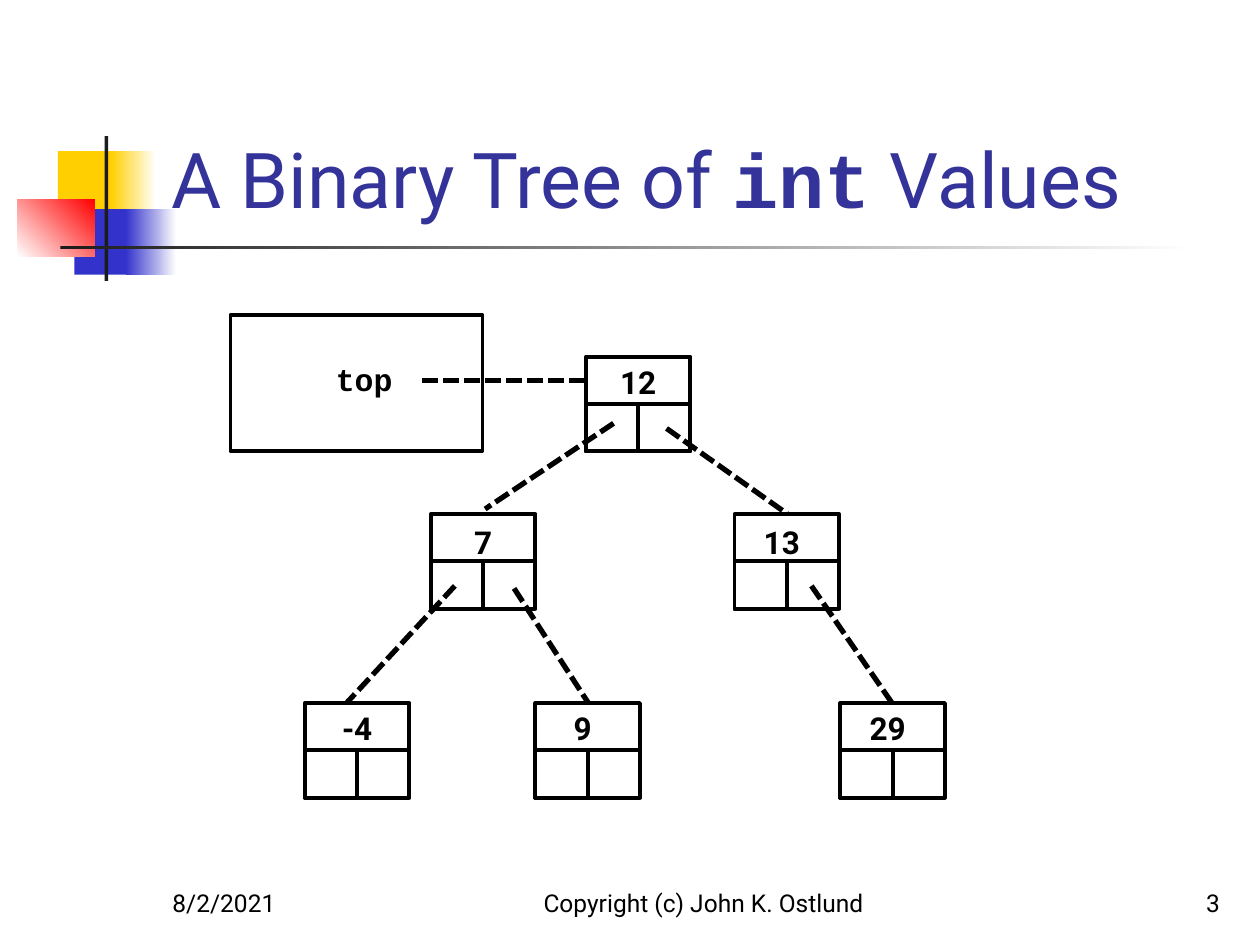
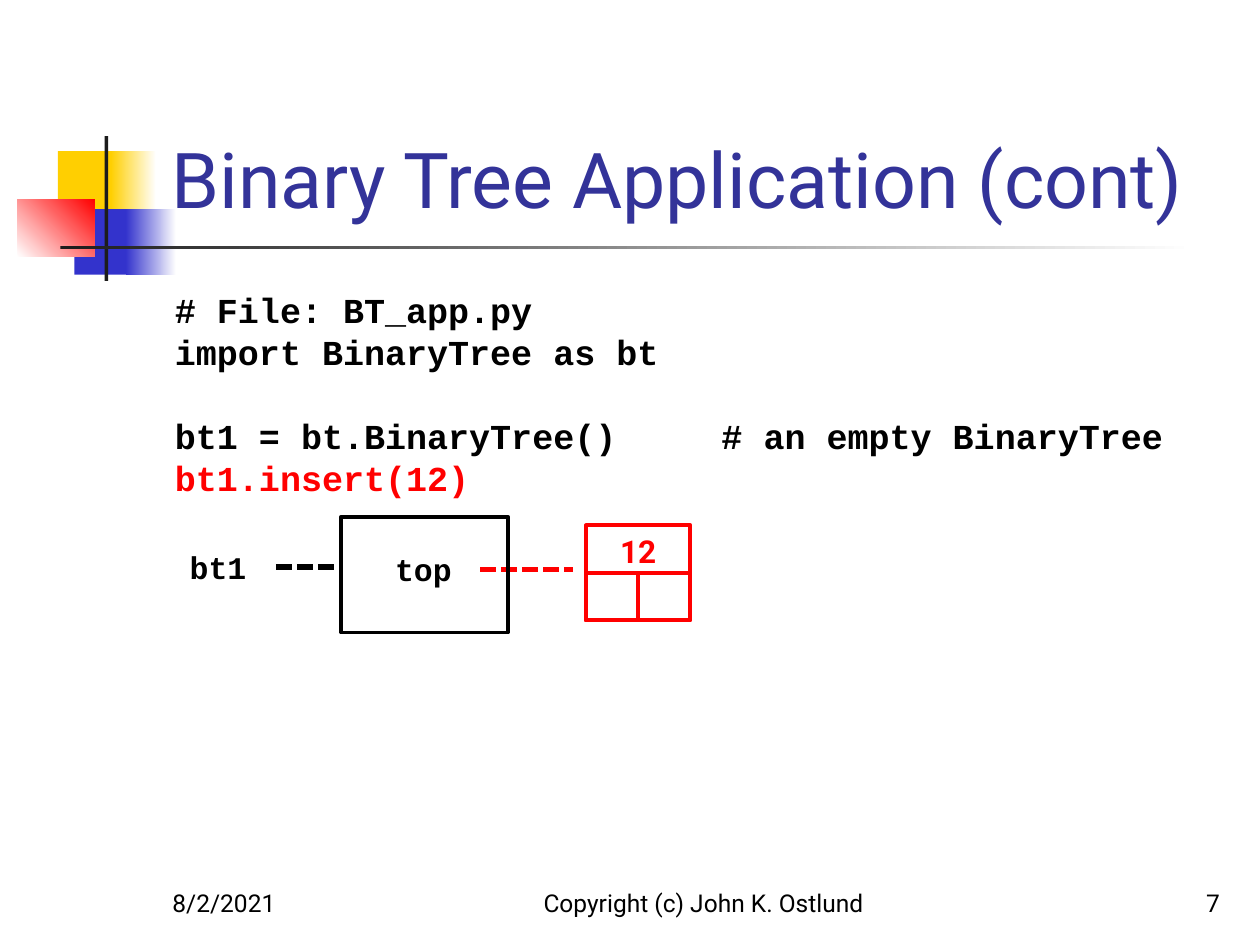
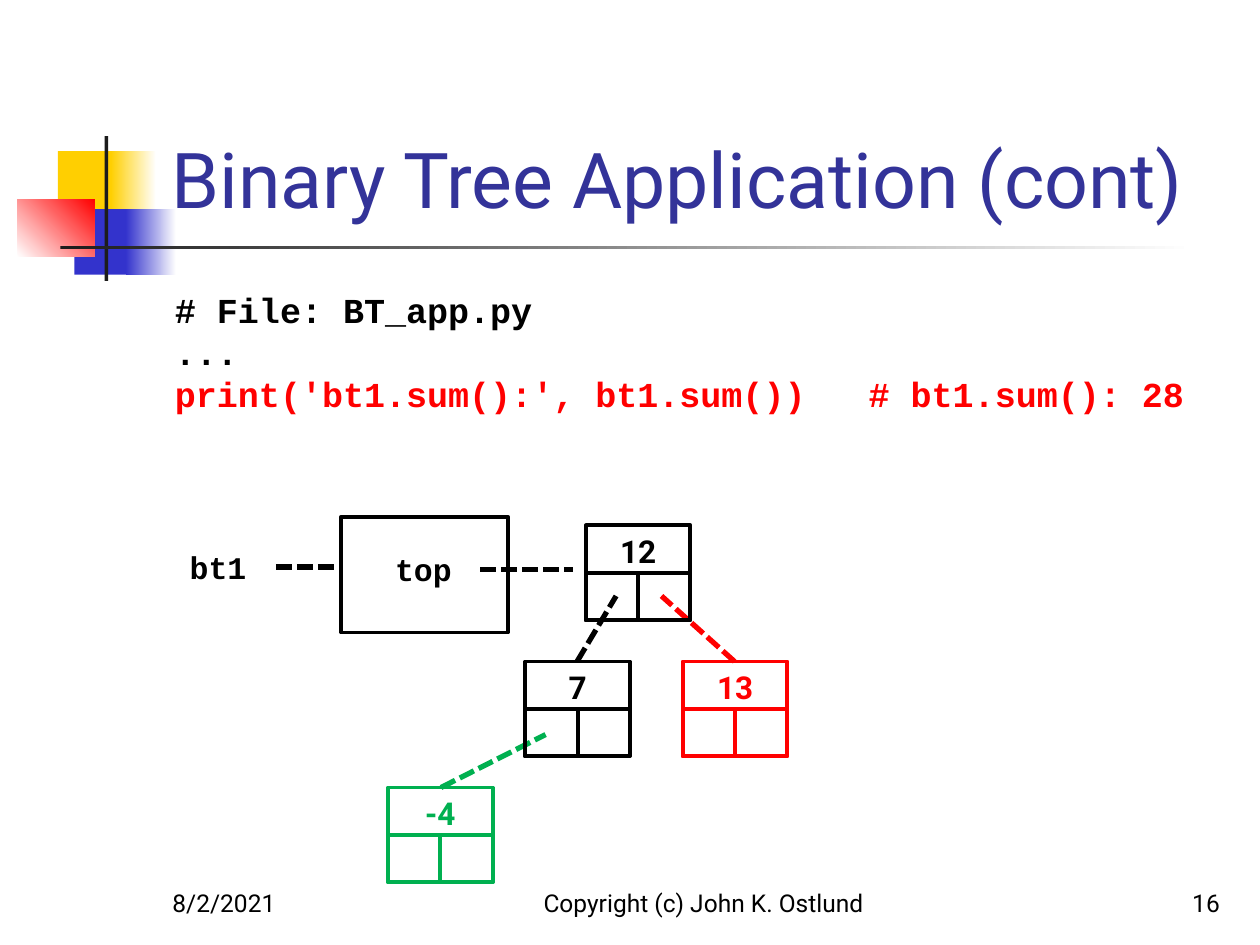
"""Build three slides that explain a binary tree of int values."""
from typing import NamedTuple

from lxml import etree
from pptx import Presentation
from pptx.dml.color import RGBColor
from pptx.enum.dml import MSO_LINE
from pptx.enum.shapes import MSO_CONNECTOR, MSO_SHAPE
from pptx.enum.text import MSO_ANCHOR, MSO_AUTO_SIZE, PP_ALIGN
from pptx.oxml.ns import qn
from pptx.util import Inches, Pt

RECTANGLE = MSO_SHAPE.RECTANGLE
STRAIGHT = MSO_CONNECTOR.STRAIGHT
DASH = MSO_LINE.SQUARE_DOT
LEFT, CENTER, RIGHT = PP_ALIGN.LEFT, PP_ALIGN.CENTER, PP_ALIGN.RIGHT
TOP, BOTTOM = MSO_ANCHOR.TOP, MSO_ANCHOR.BOTTOM
FIXED, GROW = MSO_AUTO_SIZE.NONE, MSO_AUTO_SIZE.SHAPE_TO_FIT_TEXT

COLORS = {
    "black": "000000",
    "white": "FFFFFF",
    "red": "FF0000",
    "green": "00B050",
    "title": "333399",
    "yellow": "FFCF01",
    "blue": "3333CC",
    "rule": "1C1C1C",
}
SANS, MONO = "Roboto", "Courier New"
NODE_WIDTH, NODE_HEIGHT = 0.83, 0.75
CODE_PITCH = Pt(24)


class Area(NamedTuple):
    """A rectangle in inches."""
    left: float
    top: float
    width: float
    height: float


class Span(NamedTuple):
    """A stretch of text in one format."""
    text: str
    size: int
    font: str = SANS
    color: str = "black"
    bold: bool = False


class Band(NamedTuple):
    """A decorative rectangle, shaded when it has an end colour."""
    area: Area
    color: str
    end: str = ""
    angle: int = 0


class Node(NamedTuple):
    """A tree node with a value above two links."""
    value: str
    left: float
    top: float
    color: str = "black"
    label_dx: float = 0.04
    label_dy: float = 0


class Link(NamedTuple):
    """A dashed line between two points."""
    x1: float
    y1: float
    x2: float
    y2: float
    color: str = "black"


class CodeLine(NamedTuple):
    """A line of code and the number of empty lines above it."""
    text: str
    color: str = "black"
    gap: int = 0


class Page(NamedTuple):
    """The content of one slide."""
    number: int
    title: list[Span]
    code: list[CodeLine]
    tree: Area
    names: list[tuple[str, float, float]]
    nodes: list[Node]
    links: list[Link]


BANDS = [
    Band(Area(0.46, 1.2, 0.48, 0.52), "yellow"),
    Band(Area(0.88, 1.2, 0.36, 0.52), "yellow", "white"),
    Band(Area(0.59, 1.66, 0.46, 0.52), "blue"),
    Band(Area(1, 1.66, 0.4, 0.52), "blue", "white"),
    Band(Area(0.14, 1.58, 0.61, 0.46), "white", "red", 45),
    Band(Area(0.83, 1.08, 0.03, 1.15), "rule"),
    Band(Area(0.48, 1.95, 9, 0.03), "rule", "white"),
]
TITLE_AREA = Area(1.26, 0.23, 8.52, 1.6)
CODE_AREA = Area(1.29, 2.21, 8.5, 4.5)
DATE_AREA = Area(1.27, 6.83, 2.08, 0.5)
COPYRIGHT_AREA = Area(4, 6.83, 3.17, 0.5)
NUMBER_AREA = Area(7.7, 6.83, 2.08, 0.5)
APP_TITLE = [Span("Binary Tree Application (cont)", 44, color="title")]
APP_TREE = Area(2.71, 4.1, 1.32, 0.92)
APP_NAMES = [("top", 2.9, 4.32), ("bt1", 1.27, 4.3)]
APP_LINK = Link(2.19, 4.5, 2.67, 4.5)
TOP_LINK = Link(3.81, 4.52, 4.55, 4.52)
TOP_NODE = Node("12", 4.65, 4.17)

PAGES = [
    Page(
        3,
        [
            Span("A Binary Tree of ", 44, color="title"),
            Span("int", 44, MONO, "title", True),
            Span(" Values", 44, color="title"),
        ],
        [],
        Area(1.83, 2.5, 2, 1.08),
        [("top", 2.43, 2.81)],
        [
            Node("12", 4.65, 2.83),
            Node("7", 3.42, 4.08, label_dy=0.02),
            Node("13", 5.83, 4.08, label_dx=0, label_dy=0.02),
            Node("-4", 2.42, 5.58),
            Node("9", 4.25, 5.58, label_dx=0),
            Node("29", 6.67, 5.58, label_dx=0),
        ],
        [
            Link(3.35, 3.02, 4.67, 3.02),
            Link(4.87, 3.36, 3.85, 4.04),
            Link(5.29, 3.4, 6.25, 4.08),
            Link(4.08, 4.67, 4.67, 5.58),
            Link(6.44, 4.65, 7.08, 5.58),
            Link(3.61, 4.65, 2.75, 5.58),
        ],
    ),
    Page(
        7,
        APP_TITLE,
        [
            CodeLine("# File: BT_app.py"),
            CodeLine("import BinaryTree as bt"),
            CodeLine("bt1 = bt.BinaryTree()     # an empty BinaryTree", gap=1),
            CodeLine("bt1.insert(12)", "red"),
        ],
        APP_TREE,
        APP_NAMES,
        [TOP_NODE._replace(color="red")],
        [TOP_LINK._replace(color="red"), APP_LINK],
    ),
    Page(
        16,
        APP_TITLE,
        [
            CodeLine("# File: BT_app.py"),
            CodeLine("..."),
            CodeLine("print('bt1.sum():', bt1.sum())   # bt1.sum(): 28", "red"),
        ],
        APP_TREE,
        APP_NAMES,
        [
            TOP_NODE,
            Node("7", 4.17, 5.25),
            Node("13", 5.42, 5.25, "red"),
            Node("-4", 3.08, 6.25, "green"),
        ],
        [
            TOP_LINK,
            APP_LINK,
            Link(4.58, 5.25, 4.89, 4.73),
            Link(5.83, 5.25, 5.25, 4.73, "red"),
            Link(3.5, 6.25, 4.33, 5.83, "green"),
        ],
    ),
]


def rgb(name: str) -> RGBColor:
    """Return the named colour."""
    return RGBColor.from_string(COLORS[name])


def inches(area: Area) -> list[Inches]:
    """Return the four lengths of an area."""
    return [Inches(length) for length in area]


def add_span(para, span: Span) -> None:
    """Append a formatted run to a paragraph."""
    run = para.add_run()
    run.text = span.text
    run.font.size = Pt(span.size)
    run.font.name = span.font
    run.font.bold = span.bold
    run.font.color.rgb = rgb(span.color)


def add_text(slide, area: Area, span: Span, align=CENTER, anchor=TOP, fit=GROW) -> None:
    """Add a text box that holds one span."""
    frame = slide.shapes.add_textbox(*inches(area)).text_frame
    frame.word_wrap = True
    frame.auto_size = fit
    frame.vertical_anchor = anchor
    para = frame.paragraphs[0]
    para.alignment = align
    add_span(para, span)


def add_outline(shapes, area: Area, color: str) -> None:
    """Add an unfilled rectangle."""
    box = shapes.add_shape(RECTANGLE, *inches(area))
    box.shadow.inherit = False
    box.fill.background()
    box.line.color.rgb = rgb(color)
    box.line.width = Pt(2.25)


def add_band(slide, band: Band):
    """Add a decorative rectangle and return it."""
    box = slide.shapes.add_shape(RECTANGLE, *inches(band.area))
    box.shadow.inherit = False
    box.line.fill.background()
    if band.end:
        box.fill.gradient()
        box.fill.gradient_angle = band.angle
        for stop, color in zip(box.fill.gradient_stops, (band.color, band.end)):
            stop.color.rgb = rgb(color)
    else:
        box.fill.solid()
        box.fill.fore_color.rgb = rgb(band.color)
    return box


def decorate_layout(layout, slide) -> None:
    """Draw the bands on a slide and move them to its layout."""
    for index, band in enumerate(BANDS):
        element = add_band(slide, band).element
        element.nvSpPr.cNvPr.id = 20 + index
        layout.shapes.element.insert(2 + index, element)


def add_node(slide, node: Node) -> None:
    """Add a tree node as a group with its value on top."""
    group = slide.shapes.add_group_shape()
    half = NODE_HEIGHT / 2
    middle = node.top + half
    for area in (
        Area(node.left, node.top, NODE_WIDTH, NODE_HEIGHT),
        Area(node.left, middle, NODE_WIDTH, half),
        Area(node.left, middle, NODE_WIDTH / 2, half),
    ):
        add_outline(group.shapes, area, node.color)
    label = Area(node.left + node.label_dx, node.top + node.label_dy, 0.75, 0.4)
    add_text(slide, label, Span(node.value, 18, color=node.color, bold=True))


def add_link(slide, link: Link) -> None:
    """Add a dashed line."""
    ends = [Inches(length) for length in link[:4]]
    connector = slide.shapes.add_connector(STRAIGHT, *ends)
    connector.line.color.rgb = rgb(link.color)
    connector.line.width = Pt(3)
    connector.line.dash_style = DASH
    etree.SubElement(connector.element.spPr, qn("a:effectLst"))


def add_code(slide, lines: list[CodeLine]) -> None:
    """Add the code listing, one paragraph a line."""
    frame = slide.shapes.add_textbox(*inches(CODE_AREA)).text_frame
    frame.word_wrap = True
    frame.margin_top = Inches(0.08)
    for index, line in enumerate(lines):
        para = frame.add_paragraph() if index else frame.paragraphs[0]
        para.line_spacing = CODE_PITCH
        if line.gap:
            para.space_before = CODE_PITCH * line.gap
        add_span(para, Span(line.text, 20, MONO, line.color, True))


def set_title(slide, spans: list[Span]) -> None:
    """Place the title placeholder and fill it."""
    title = slide.shapes.title
    title.left, title.top, title.width, title.height = inches(TITLE_AREA)
    frame = title.text_frame
    frame.auto_size = FIXED
    frame.vertical_anchor = BOTTOM
    frame.paragraphs[0].alignment = LEFT
    for span in spans:
        add_span(frame.paragraphs[0], span)


def add_footer(slide, number: int) -> None:
    """Add the date, the copyright line and the slide number."""
    for area, text, align in (
        (DATE_AREA, "8/2/2021", LEFT),
        (COPYRIGHT_AREA, "Copyright (c) John K. Ostlund", CENTER),
        (NUMBER_AREA, str(number), RIGHT),
    ):
        add_text(slide, area, Span(text, 14), align, BOTTOM, FIXED)


def fill_slide(slide, page: Page) -> None:
    """Draw the content of one page."""
    set_title(slide, page.title)
    if page.code:
        add_code(slide, page.code)
    add_footer(slide, page.number)
    for link in page.links:
        add_link(slide, link)
    add_outline(slide.shapes, page.tree, "black")
    for name, left, top in page.names:
        add_text(slide, Area(left, top, 0.92, 0.4), Span(name, 18, MONO, bold=True))
    for node in page.nodes:
        add_node(slide, node)


def main() -> None:
    """Build and save the deck."""
    deck = Presentation()
    deck.slide_width, deck.slide_height = Inches(10), Inches(7.5)
    layout = deck.slide_layouts.get_by_name("Title Only")
    slides = [deck.slides.add_slide(layout) for _ in PAGES]
    decorate_layout(layout, slides[0])
    for slide, page in zip(slides, PAGES):
        fill_slide(slide, page)
    deck.save("out.pptx")


if __name__ == "__main__":
    main()
